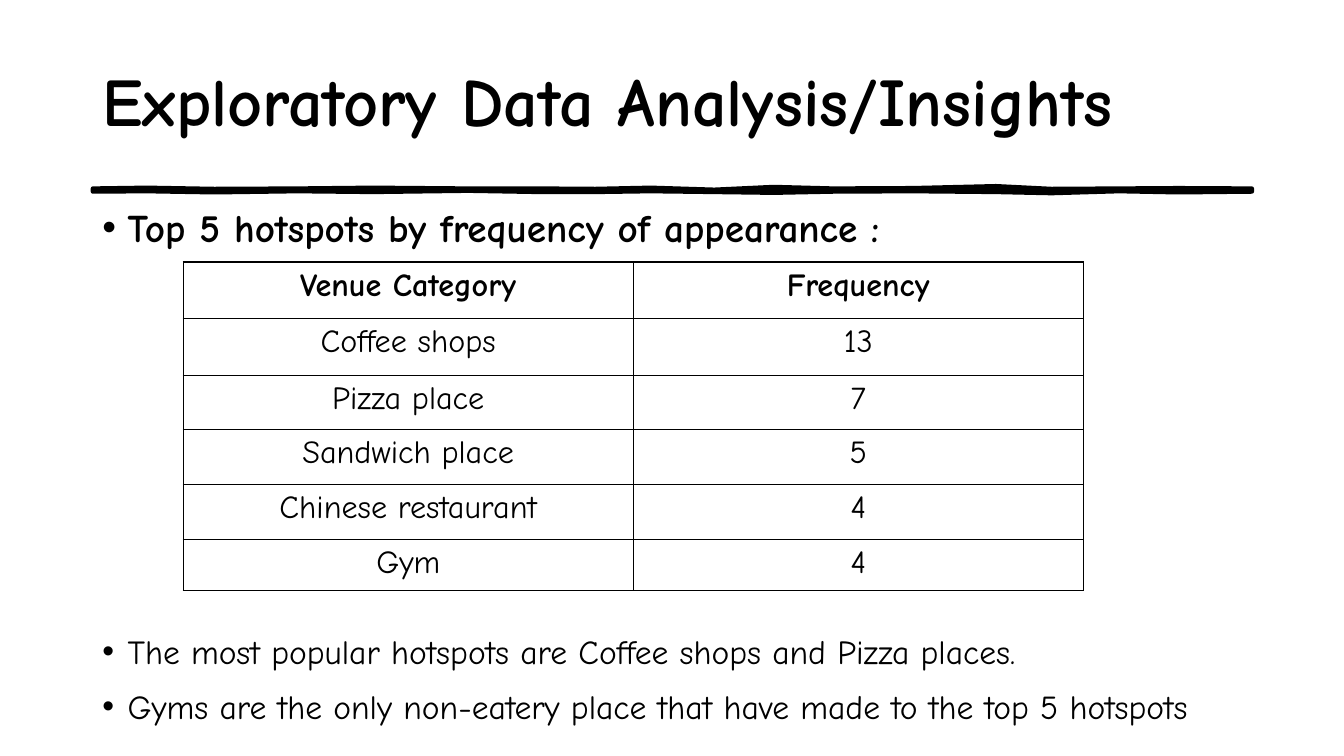
from dataclasses import dataclass
from typing import NamedTuple

from lxml.etree import SubElement
from pptx import Presentation
from pptx.dml.color import RGBColor
from pptx.enum.text import MSO_ANCHOR as Anchor, PP_ALIGN as Align
from pptx.oxml.ns import qn
from pptx.slide import Slide
from pptx.text.text import TextFrame
from pptx.util import Cm, Pt


@dataclass(frozen=True)
class Theme:
    font: str = "Comic Neue"
    ink: RGBColor = RGBColor(0, 0, 0)
    title: float = 48.6
    heading: float = 28
    finding: float = 24
    cell: float = 23
    stroke: float = 3
    border: float = 1


class Box(NamedTuple):
    left: float
    top: float
    width: float
    height: float


class Venue(NamedTuple):
    category: str
    frequency: str
    row_height: float


class Knot(NamedTuple):
    x: float
    upper: float
    lower: float


THEME = Theme()
TITLE_BOX = Box(2.33, 1.01, 29.21, 2.98)
HEADING_BOX = Box(2.33, 5.0, 29.21, 1.5)
FINDINGS_BOX = Box(2.33, 15.78, 29.21, 3.07)
TABLE_BOX = Box(4.62, 6.6, 22.68, 8.28)

FINDINGS = (
    "The most popular hotspots are Coffee shops and Pizza places.",
    "Gyms are the only non-eatery place that have made to the top 5 hotspots",
)
VENUES = (
    Venue("Venue Category", "Frequency", 1.43),
    Venue("Coffee shops\u00a0".strip(), "13", 1.43),
    Venue("Pizza place", "7", 1.37),
    Venue("Sandwich place", "5", 1.38),
    Venue("Chinese restaurant", "4", 1.39),
    Venue("Gym", "4", 1.28),
)
BRUSH_STROKE = (
    Knot(2.34, 4.75, 4.83),
    Knot(3.7, 4.73, 4.82),
    Knot(5.4, 4.76, 4.85),
    Knot(7.5, 4.75, 4.82),
    Knot(9.4, 4.73, 4.84),
    Knot(11.8, 4.75, 4.81),
    Knot(13.6, 4.75, 4.84),
    Knot(15.0, 4.76, 4.84),
    Knot(16.4, 4.73, 4.82),
    Knot(18.0, 4.78, 4.84),
    Knot(19.5, 4.71, 4.86),
    Knot(21.0, 4.75, 4.83),
    Knot(23.0, 4.74, 4.82),
    Knot(25.1, 4.69, 4.84),
    Knot(26.5, 4.76, 4.87),
    Knot(28.2, 4.75, 4.82),
    Knot(29.7, 4.74, 4.85),
    Knot(31.55, 4.75, 4.83),
)


def write(
    frame: TextFrame,
    text: str,
    *,
    size: float,
    bold: bool = False,
    align: Align = Align.LEFT,
    bullet: bool = False,
    after: float = 0,
) -> None:
    paragraph = frame.paragraphs[-1]
    if paragraph.runs:
        paragraph = frame.add_paragraph()
    paragraph.alignment = align
    paragraph.space_after = Pt(after)
    if bullet:
        properties = paragraph._p.get_or_add_pPr()
        properties.set("marL", str(Cm(0.635)))
        properties.set("indent", str(-Cm(0.635)))
        SubElement(properties, qn("a:buFont"), typeface="Arial")
        SubElement(properties, qn("a:buChar"), char="•")
    run = paragraph.add_run()
    run.text = text
    run.font.name = THEME.font
    run.font.size = Pt(size)
    run.font.bold = bold
    run.font.color.rgb = THEME.ink


def add_text_area(slide: Slide, box: Box, anchor: Anchor = Anchor.TOP) -> TextFrame:
    frame = slide.shapes.add_textbox(*map(Cm, box)).text_frame
    frame.word_wrap = True
    frame.vertical_anchor = anchor
    return frame


def draw_brush_stroke(slide: Slide) -> None:
    upper = [(Cm(knot.x), Cm(knot.upper)) for knot in BRUSH_STROKE]
    lower = [(Cm(knot.x), Cm(knot.lower)) for knot in reversed(BRUSH_STROKE)]
    builder = slide.shapes.build_freeform(*upper[0])
    builder.add_line_segments(upper[1:] + lower, close=True)
    stroke = builder.convert_to_shape()
    stroke.shadow.inherit = False
    stroke.fill.solid()
    stroke.fill.fore_color.rgb = THEME.ink
    stroke.line.color.rgb = THEME.ink
    stroke.line.width = Pt(THEME.stroke)


def draw_venue_table(slide: Slide) -> None:
    table = slide.shapes.add_table(len(VENUES), 2, *map(Cm, TABLE_BOX)).table
    table.horz_banding = False
    for row, venue in enumerate(VENUES):
        table.rows[row].height = Cm(venue.row_height)
        for column, text in enumerate((venue.category, venue.frequency)):
            cell = table.cell(row, column)
            write(cell.text_frame, text, size=THEME.cell, bold=row == 0, align=Align.CENTER)
            properties = cell._tc.get_or_add_tcPr()
            for side in ("a:lnL", "a:lnR", "a:lnT", "a:lnB"):
                border = SubElement(properties, qn(side), w=str(Pt(THEME.border)))
                fill = SubElement(border, qn("a:solidFill"))
                SubElement(fill, qn("a:srgbClr"), val=str(THEME.ink))
            cell.fill.background()


def main() -> None:
    presentation = Presentation()
    presentation.slide_width = Cm(33.87)
    presentation.slide_height = Cm(19.05)
    slide = presentation.slides.add_slide(presentation.slide_layouts[6])

    draw_brush_stroke(slide)
    title = add_text_area(slide, TITLE_BOX, Anchor.MIDDLE)
    write(title, "Exploratory Data Analysis/Insights", size=THEME.title, bold=True)
    heading = add_text_area(slide, HEADING_BOX)
    write(
        heading,
        "Top 5 hotspots by frequency of appearance :",
        size=THEME.heading,
        bold=True,
        bullet=True,
    )
    findings = add_text_area(slide, FINDINGS_BOX)
    for finding in FINDINGS:
        write(findings, finding, size=THEME.finding, bullet=True, after=10)
    draw_venue_table(slide)

    presentation.save("out.pptx")


if __name__ == "__main__":
    main()
